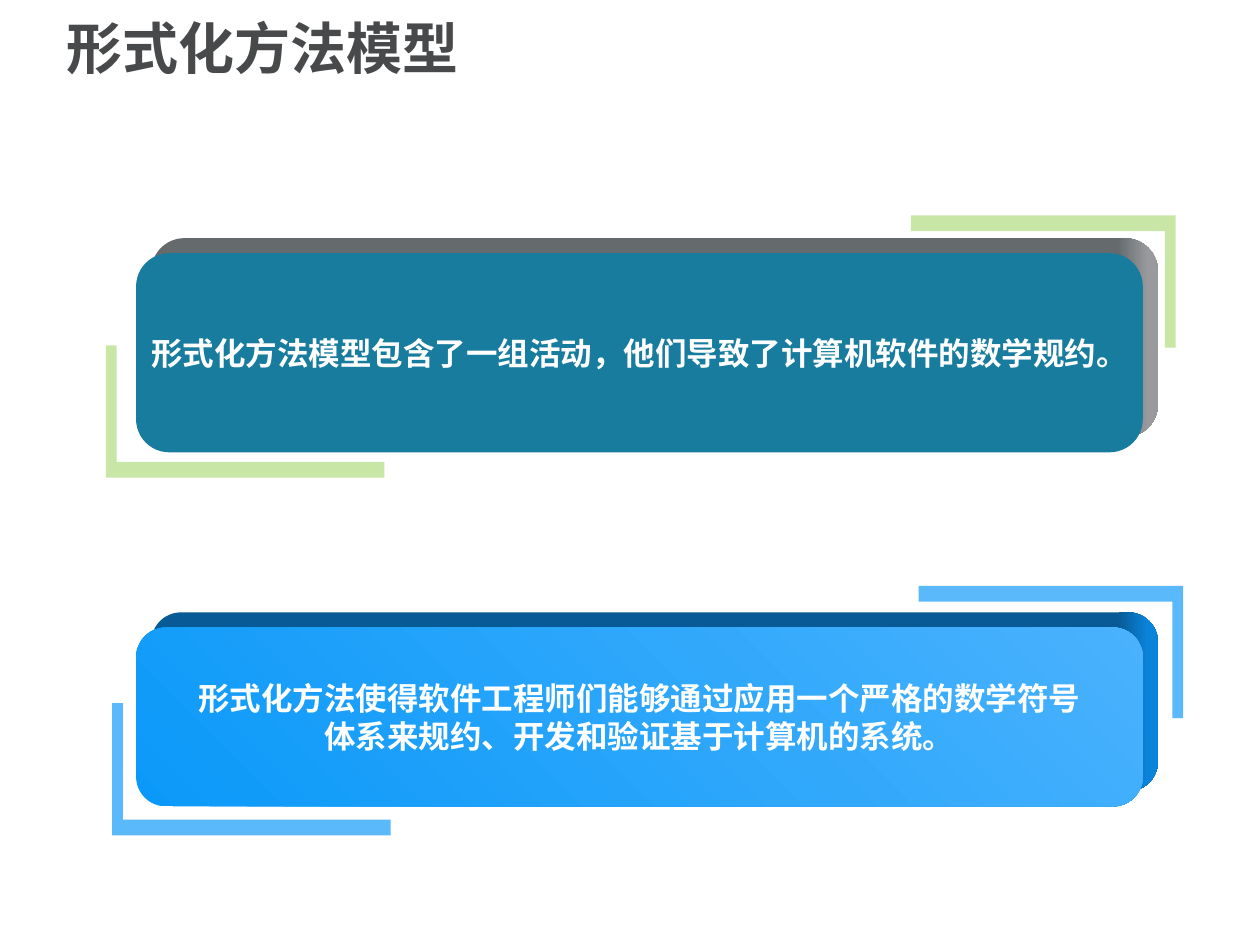
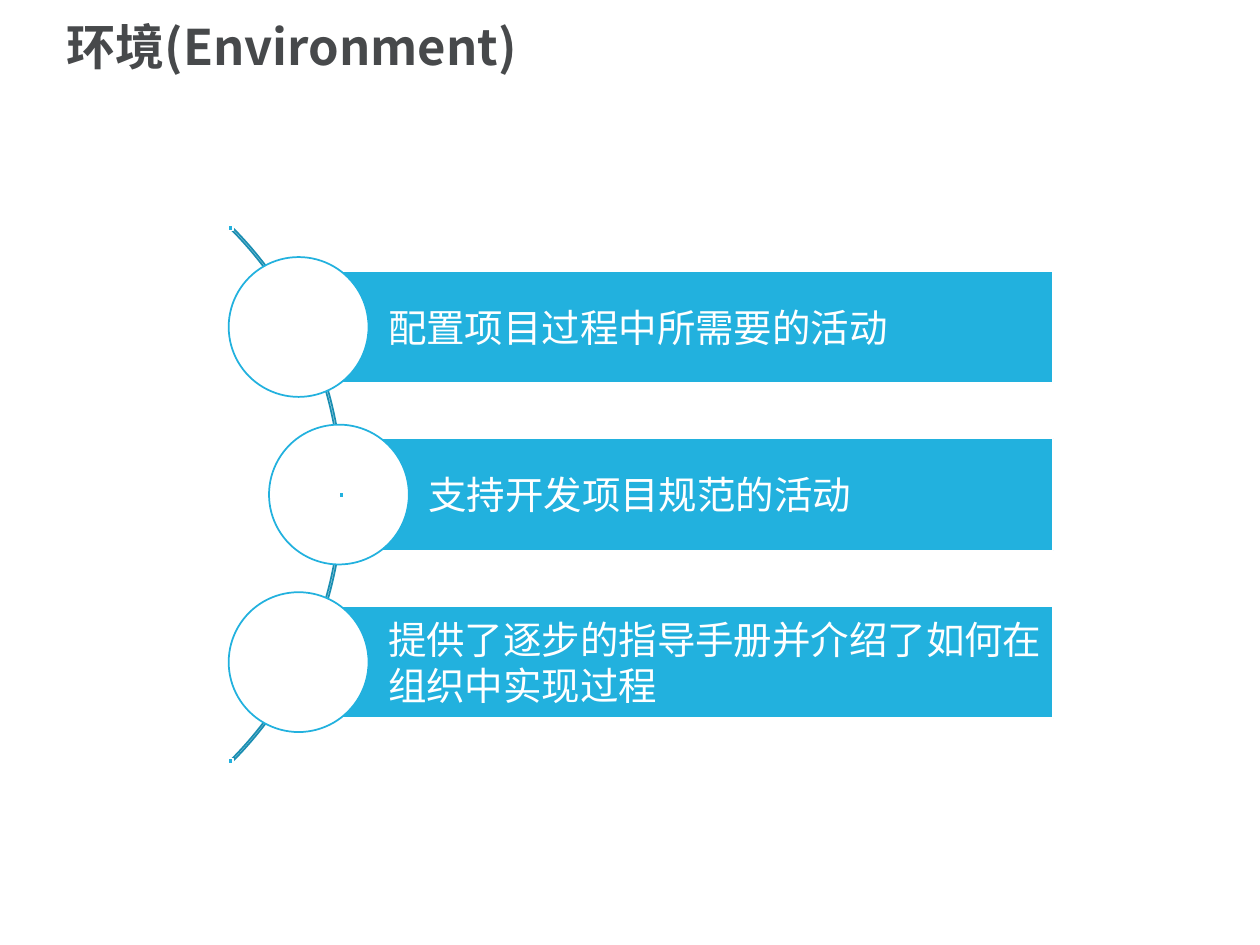
from lxml.etree import SubElement
from pptx import Presentation
from pptx.dml.color import RGBColor
from pptx.enum.shapes import MSO_SHAPE
from pptx.enum.text import MSO_ANCHOR, MSO_AUTO_SIZE, PP_ALIGN
from pptx.oxml.ns import qn
from pptx.util import Inches, Pt

COLORS = {
    "title": "47494B",
    "white": "FFFFFF",
    "cyan": "22B1DE",
    "arc": "1B8EB2",
    "teal": "187C9E",
    "green": "92D050",
    "blue": "0B99F9",
    "light_blue": "4AB2FD",
    "gray_top": "656A6D",
    "gray_side": "999A9E",
    "blue_top": "075A95",
    "blue_side": "0A84DA",
}
COLORS = {name: RGBColor.from_string(value) for name, value in COLORS.items()}
HEADING_FONT = "Noto Sans CJK SC"

deck = Presentation()
deck.slide_width, deck.slide_height = Inches(10), Inches(7.5)
COL = deck.slide_width / 100
ROW = deck.slide_height / 75


def add_block(slide, kind, x, y, w, h, fill=None, line=None):
    block = slide.shapes.add_shape(kind, int(x * COL), int(y * ROW), int(w * COL), int(h * ROW))
    block.shadow.inherit = False
    if fill:
        block.fill.solid()
        block.fill.fore_color.rgb = COLORS[fill]
    else:
        block.fill.background()
    if line:
        block.line.color.rgb = COLORS[line]
        block.line.width = Pt(1)
    else:
        block.line.fill.background()
    return block


def write_lines(frame, lines, size, font, color, bold, align):
    frame.vertical_anchor = MSO_ANCHOR.MIDDLE
    frame.text = "\n".join(lines)
    for paragraph in frame.paragraphs:
        paragraph.alignment = align
        paragraph.font.size = Pt(size)
        paragraph.font.name = font
        paragraph.font.bold = bold
        paragraph.font.color.rgb = COLORS[color]
        if font == HEADING_FONT:
            for run in paragraph.runs:
                east_asian = SubElement(run._r.get_or_add_rPr(), qn("a:ea"))
                east_asian.set("typeface", font)


slides = []
for heading, size, spacing in [("形式化方法模型", 32, 0.9), ("环境(Environment)", 28, 0.8)]:
    slide = deck.slides.add_slide(deck.slide_layouts[5])
    title = slide.shapes.title
    title.left, title.top = int(4.3 * COL), int(0.6 * ROW)
    title.width, title.height = int(90.5 * COL), int(7 * ROW)
    title.text_frame.auto_size = MSO_AUTO_SIZE.NONE
    write_lines(title.text_frame, [heading], size, HEADING_FONT, "title", True, PP_ALIGN.LEFT)
    title.text_frame.paragraphs[0].line_spacing = spacing
    slides.append(slide)
formal_methods, environment = slides

PANEL_LEFT, PANEL_WIDTH, DEPTH = 10.8, 79.9, 1.2
BRACKET_HEIGHT, BRACKET_SIDE, BRACKET_BAR = 10.5, 0.85, 1.25
panels = [
    {
        "top": 20.1, "height": 15.8, "fill": ["teal"], "edges": ["gray_top", "gray_side"],
        "bracket": "green", "opacity": 50, "lower_left": (8.4, 37.9), "upper_right": (93.3, 17.1),
        "font": HEADING_FONT,
        "lines": ["形式化方法模型包含了一组活动，他们导致了计算机软件的数学规约。"],
    },
    {
        "top": 49.8, "height": 14.2, "fill": ["blue", "light_blue"], "edges": ["blue_top", "blue_side"],
        "bracket": "blue", "opacity": 68, "lower_left": (8.9, 66.3), "upper_right": (93.9, 46.5),
        "font": "DejaVu Sans",
        "lines": ["形式化方法使得软件工程师们能够通过应用一个严格的数学符号",
                  "体系来规约、开发和验证基于计算机的系统。"],
    },
]
for panel in panels:
    for corner, arm, inward in [("lower_left", 22.1, 1), ("upper_right", 21, -1)]:
        corner_x, corner_y = panel[corner]
        offsets = [(0, 0), (arm, 0), (arm, BRACKET_BAR), (BRACKET_SIDE, BRACKET_BAR),
                   (BRACKET_SIDE, BRACKET_HEIGHT), (0, BRACKET_HEIGHT)]
        points = [(int((corner_x + inward * dx) * COL), int((corner_y - inward * dy) * ROW))
                  for dx, dy in offsets]
        outline = formal_methods.shapes.build_freeform(*points[0])
        outline.add_line_segments(points[1:], close=True)
        bracket = outline.convert_to_shape()
        bracket.shadow.inherit = False
        bracket.line.fill.background()
        bracket.fill.solid()
        bracket.fill.fore_color.rgb = COLORS[panel["bracket"]]
        solid = bracket._element.spPr.find(qn("a:solidFill"))
        SubElement(solid[0], qn("a:alpha")).set("val", str(panel["opacity"] * 1000))

    edge = add_block(formal_methods, MSO_SHAPE.ROUNDED_RECTANGLE, PANEL_LEFT + DEPTH,
                     panel["top"] - DEPTH, PANEL_WIDTH, panel["height"])
    face = add_block(formal_methods, MSO_SHAPE.ROUNDED_RECTANGLE, PANEL_LEFT,
                     panel["top"], PANEL_WIDTH, panel["height"], panel["fill"][0])
    gradients = [(edge, panel["edges"], 0, (0.96, 0.99))]
    if len(panel["fill"]) == 2:
        gradients.append((face, panel["fill"], 45, (0, 1)))
    for layer, shades, angle, positions in gradients:
        layer.fill.gradient()
        layer.fill.gradient_angle = angle
        for stop, shade, position in zip(layer.fill.gradient_stops, shades, positions):
            stop.color.rgb = COLORS[shade]
            stop.position = position
    face.text_frame.word_wrap = False
    write_lines(face.text_frame, panel["lines"], 18, panel["font"], "white", True, PP_ALIGN.CENTER)

arc = add_block(environment, MSO_SHAPE.BLOCK_ARC, -32.9, 9.2, 60.1, 60.1, line="arc")
for index, value in enumerate([189, 27, 0.003]):
    arc.adjustments[index] = value

BAR_RIGHT, BAR_HEIGHT, CIRCLE, ROW_STEP = 83.6, 8.9, 11.1, 13.3
activities = [
    ("配置项目过程中所需要的活动", 23.7),
    ("支持开发项目规范的活动", 26.9),
    ("提供了逐步的指导手册并介绍了如何在组织中实现过程", 23.7),
]
for index, (activity, bar_left) in enumerate(activities):
    bar_top = 21.5 + index * ROW_STEP
    bar = add_block(environment, MSO_SHAPE.RECTANGLE, bar_left, bar_top,
                    BAR_RIGHT - bar_left, BAR_HEIGHT, "cyan", "white")
    frame = bar.text_frame
    frame.word_wrap = True
    frame.margin_left = int(7.1 * COL)
    frame.margin_right = frame.margin_top = frame.margin_bottom = int(0.6 * COL)
    write_lines(frame, [activity], 22, "Calibri", "white", False, PP_ALIGN.LEFT)
    add_block(environment, MSO_SHAPE.OVAL, bar_left - CIRCLE / 2,
              bar_top + (BAR_HEIGHT - CIRCLE) / 2, CIRCLE, CIRCLE, "white", "cyan")

for dot_left, dot_top in [(18.1, 17.9), (26.9, 39.1), (18.1, 60.2)]:
    add_block(environment, MSO_SHAPE.RECTANGLE, dot_left, dot_top, 0.4, 0.4, "cyan", "white")

deck.save("out.pptx")
